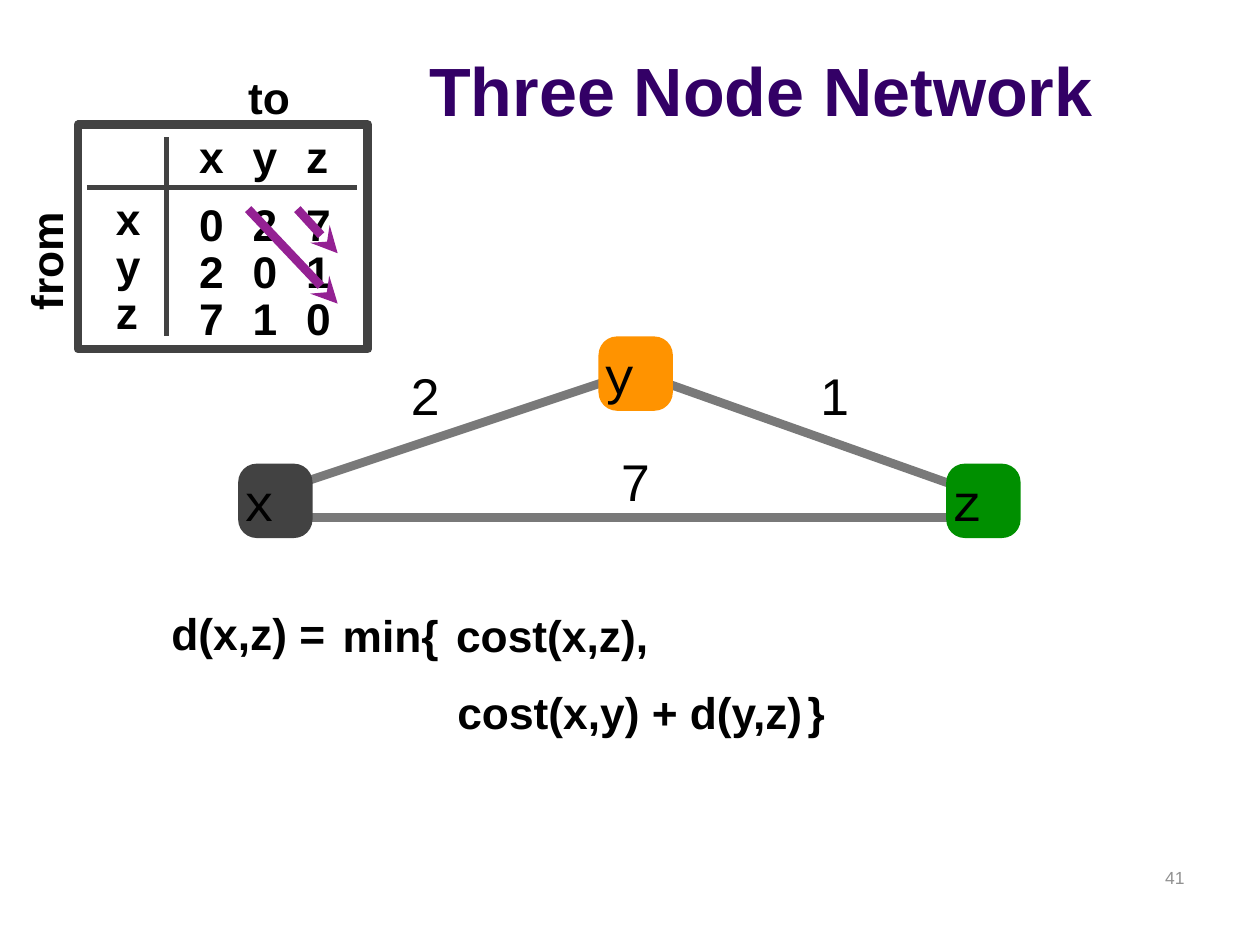
from collections import namedtuple

from lxml.etree import SubElement
from pptx import Presentation
from pptx.dml.color import RGBColor
from pptx.enum.shapes import MSO_CONNECTOR, MSO_SHAPE
from pptx.enum.text import MSO_ANCHOR as Anchor, PP_ALIGN as Align
from pptx.oxml.ns import qn
from pptx.util import Inches, Pt

COLUMNS, ROWS = 100, 75
CELL = Inches(10) / COLUMNS

BLACK = RGBColor(0x00, 0x00, 0x00)
PURPLE = RGBColor(0x33, 0x00, 0x66)
VIOLET = RGBColor(0x94, 0x21, 0x93)
CHARCOAL = RGBColor(0x42, 0x42, 0x42)
GRAY = RGBColor(0x79, 0x79, 0x79)
PALE_GRAY = RGBColor(0x91, 0x91, 0x91)
GREEN = RGBColor(0x00, 0x8F, 0x00)
ORANGE = RGBColor(0xFF, 0x93, 0x00)

NODES = ("x", "y", "z")
DISTANCES = ((0, 2, 7), (2, 0, 1), (7, 1, 0))

Box = namedtuple("Box", "left top width height")


def within(box, left, top, width, height):
    return Box(box.left + left, box.top + top, width, height)


def cells(*counts):
    """Turn counts of grid cells into lengths."""
    return [round(count * CELL) for count in counts]


def write(frame, text, size=25.3, bold=False, color=BLACK, font="Arial",
          align=Align.LEFT, anchor=Anchor.MIDDLE, insets=(0.4, 0.4, 0.4, 0.4)):
    frame.word_wrap = True
    frame.vertical_anchor = anchor
    (frame.margin_left, frame.margin_top,
     frame.margin_right, frame.margin_bottom) = cells(*insets)
    paragraph = frame.paragraphs[0]
    paragraph.alignment = align
    run = paragraph.add_run()
    run.text = text
    run.font.name, run.font.size, run.font.bold = font, Pt(size), bold
    run.font.color.rgb = color


def add_text(slide, box, text, rotation=0, **text_format):
    label = slide.shapes.add_textbox(*cells(*box))
    label.rotation = rotation
    write(label.text_frame, text, **text_format)


def add_line(slide, box, start, end, color, width, arrow=False):
    """Draw a line between two points counted from the corner of the box."""
    ends = [box.left + start[0], box.top + start[1],
            box.left + end[0], box.top + end[1]]
    line = slide.shapes.add_connector(MSO_CONNECTOR.STRAIGHT, *cells(*ends))
    line.line.color.rgb = color
    line.line.width = Pt(width)
    if arrow:
        SubElement(line.line._get_or_add_ln(), qn("a:tailEnd"), type="stealth")
    SubElement(line._element.spPr, qn("a:effectLst"))


def add_title(slide, box):
    add_text(slide, box, "Three Node Network", size=39, bold=True, color=PURPLE,
             align=Align.CENTER, anchor=Anchor.BOTTOM, insets=(21.8, 0.5, 1, 0.5))


def add_page_number(slide, box):
    add_text(slide, box, "41", size=10, color=PALE_GRAY, align=Align.RIGHT,
             anchor=Anchor.TOP, insets=(1, 0.5, 1, 0.5))


def add_network(slide, box):
    edges = (((29.7, 3.4), (4.5, 11.8)),
             ((5.2, 14.4), (58.4, 14.4)),
             ((33.1, 3.4), (58.5, 12.4)))
    for start, end in edges:
        add_line(slide, box, start, end, GRAY, 5)

    side = 5.9
    low = box.height - side
    places = ((0, low, CHARCOAL), (28.6, 0, ORANGE), (box.width - side, low, GREEN))
    for name, (left, top, color) in zip(NODES, places):
        node = slide.shapes.add_shape(
            MSO_SHAPE.ROUNDED_RECTANGLE,
            *cells(*within(box, left, top, side, side)))
        node.adjustments[0] = 0.25
        node.shadow.inherit = False
        node.fill.solid()
        node.fill.fore_color.rgb = color
        node.line.fill.background()
        write(node.text_frame, name, size=29.5, font="Courier New",
              insets=(0, 0, 0, 0))

    for cost, left, top in (("2", 13.3, 1.7), ("7", 30, 8.6), ("1", 45.8, 1.7)):
        add_text(slide, within(box, left, top, 3.1, 5.8), cost, size=29.5)


def add_distance_matrix(slide, box):
    frame = slide.shapes.add_shape(MSO_SHAPE.RECTANGLE, *cells(*box))
    frame.shadow.inherit = False
    frame.fill.background()
    frame.line.color.rgb = CHARCOAL
    frame.line.width = Pt(5)
    add_line(slide, box, (0.7, 5), (22.1, 5), CHARCOAL, 3)
    add_line(slide, box, (7, 1), (7, 16.8), CHARCOAL, 3)

    add_text(slide, within(box, 13.1, -4.8, 5.1, 5.1), "to", bold=True)
    add_text(slide, within(box, -7.5, 7.7, 9.8, 5.1), "from", rotation=270, bold=True)

    first_column, column_step = 9.2, 4.25
    first_row, row_step = 5.3, 3.75
    for index, (name, distances) in enumerate(zip(NODES, DISTANCES)):
        top = first_row + index * row_step
        heading_left = first_column + index * column_step
        add_text(slide, within(box, heading_left, 0.2, 2.9, 4.6), name, bold=True)
        add_text(slide, within(box, 2.6, top - 0.5, 2.9, 5.1), name, bold=True)
        for column, distance in enumerate(distances):
            left = first_column + column * column_step
            add_text(slide, within(box, left, top, 2.9, 5.1), str(distance), bold=True)

    for start, tip in (((17.4, 6.7), (20.6, 10.2)), ((13.5, 6.7), (20.6, 14.2))):
        add_line(slide, box, start, tip, VIOLET, 5, arrow=True)


def add_formula(slide, box):
    second_line = box.height - 5
    parts = (("d(x,z) =", 0, 0, 16.2),
             ("min{", 13.6, 0.2, 9),
             ("cost(x,z),", 22.6, 0.2, 16.4),
             ("cost(x,y) + d(y,z)", 22.7, second_line, 29.4),
             ("}", 50.5, second_line, 11.4))
    for text, left, top, width in parts:
        add_text(slide, within(box, left, top, width, 5), text, bold=True)


def main():
    deck = Presentation()
    deck.slide_width, deck.slide_height = cells(COLUMNS, ROWS)
    slide = deck.slides.add_slide(deck.slide_layouts[6])
    add_title(slide, Box(0, 1.3, COLUMNS, 9.5))
    add_page_number(slide, Box(71.7, 68.3, 23.3, 5))
    add_network(slide, Box(18.9, 26.7, 62.1, 16))
    add_distance_matrix(slide, Box(6.2, 9.9, 23, 17.8))
    add_formula(slide, Box(13.2, 47.7, 61.9, 11.3))
    deck.save("out.pptx")


if __name__ == "__main__":
    main()
